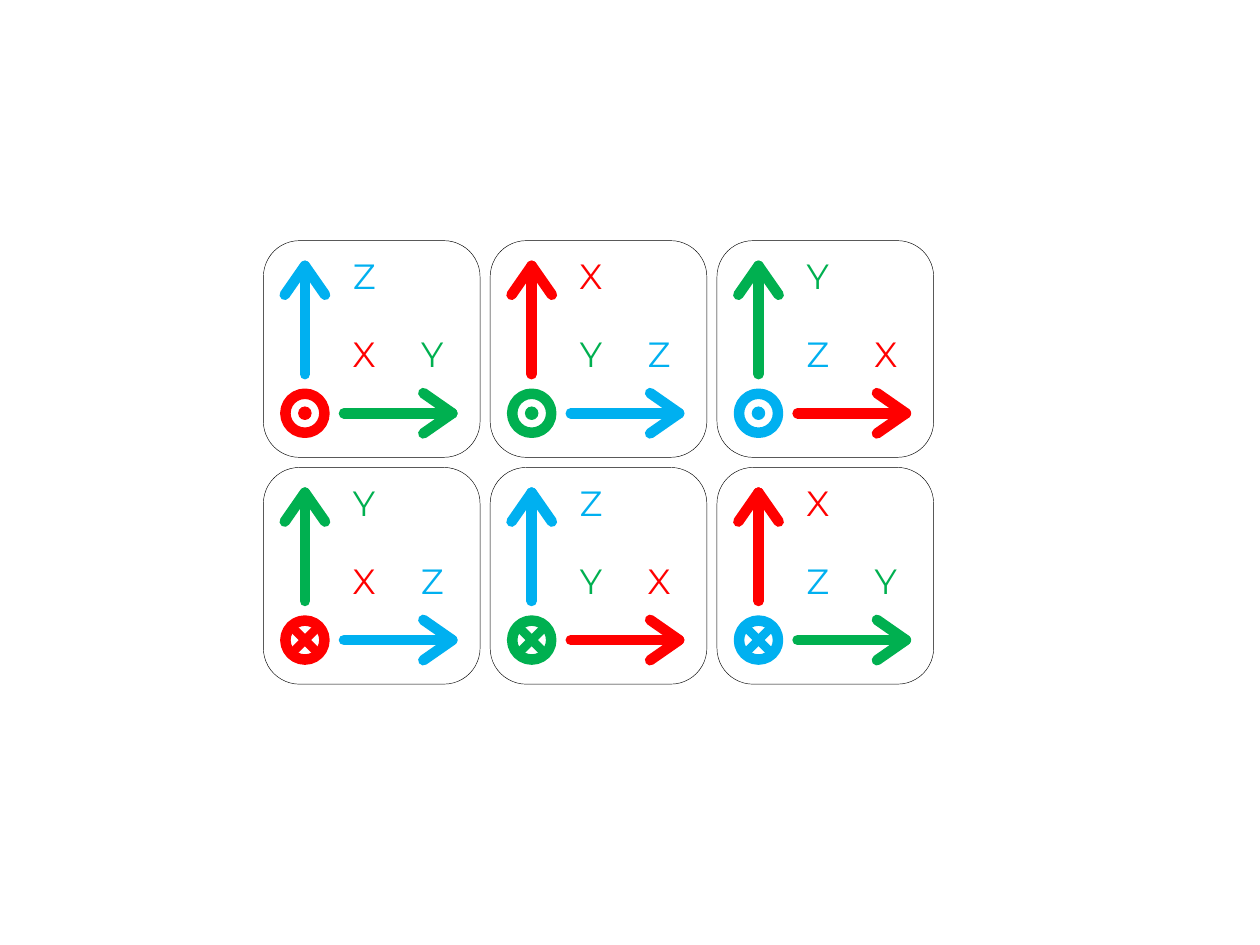
from lxml import etree
from pptx import Presentation
from pptx.dml.color import RGBColor
from pptx.enum.shapes import MSO_CONNECTOR, MSO_SHAPE
from pptx.enum.text import MSO_AUTO_SIZE, PP_ALIGN
from pptx.oxml.ns import qn
from pptx.util import Inches, Pt

STRAIGHT = MSO_CONNECTOR.STRAIGHT
OVAL = MSO_SHAPE.OVAL
ROUNDED = MSO_SHAPE.ROUNDED_RECTANGLE
FIT = MSO_AUTO_SIZE.SHAPE_TO_FIT_TEXT
CENTER = PP_ALIGN.CENTER

RED = RGBColor(0xFF, 0x00, 0x00)
GREEN = RGBColor(0x00, 0xB0, 0x50)
BLUE = RGBColor(0x00, 0xB0, 0xF0)
BLACK = RGBColor(0x00, 0x00, 0x00)
HUES = {"X": RED, "Y": GREEN, "Z": BLUE}
FONT = "Montserrat"

# Panel grid, in inches
LEFT, TOP, PITCH, SIDE = 2.09, 1.91, 1.8, 1.72
# Each panel: axis normal to the page, axis to the right, axis upward
OUTWARD = ["XYZ", "YZX", "ZXY"]
INWARD = ["XZY", "YXZ", "ZYX"]


def add_line(slide, start, end, color, width=6, cap="rnd"):
    line = slide.shapes.add_connector(
        STRAIGHT, *(Inches(n) for n in (*start, *end)))
    line.line.color.rgb = color
    line.line.width = Pt(width)
    line.line._get_or_add_ln().set("cap", cap)
    etree.SubElement(line._element.spPr, qn("a:effectLst"))


def add_arrow(slide, tip, tail, color):
    """Draw a shaft and two wings; the arrow is upright or level."""
    x, y = tip
    add_line(slide, tip, tail, color)
    for side in (0.16, -0.16):
        wing = (x + side, y + 0.23) if x == tail[0] else (x - 0.23, y + side)
        add_line(slide, tip, wing, color)


def add_shape(slide, kind, x, y, size, color, width, fill=None):
    shape = slide.shapes.add_shape(
        kind, Inches(x), Inches(y), Inches(size), Inches(size))
    shape.shadow.inherit = False
    shape.line.color.rgb = color
    shape.line.width = Pt(width)
    if fill is None:
        shape.fill.background()
    else:
        shape.fill.solid()
        shape.fill.fore_color.rgb = fill


def add_label(slide, name, x, y):
    box = slide.shapes.add_textbox(
        Inches(x), Inches(y), Inches(0.42), Inches(0.44))
    frame = box.text_frame
    frame.word_wrap = False
    frame.auto_size = FIT
    par = frame.paragraphs[0]
    par.alignment = CENTER
    run = par.add_run()
    run.text = name
    run.font.name = FONT
    run.font.size = Pt(20)
    run.font.color.rgb = HUES[name]


def add_disc(slide, x, y, color, inward):
    """Draw the axis normal to the page: a dot points out, a cross in."""
    add_shape(slide, OVAL, x - 0.155, y - 0.155, 0.31, color, 6)
    if inward:
        arm = 0.11
        for rise in (arm, -arm):
            add_line(slide, (x - arm, y - rise), (x + arm, y + rise),
                     color, 5, "flat")
    else:
        add_shape(slide, OVAL, x - 0.05, y - 0.05, 0.1, color, 0.5, color)


def add_panel(slide, x, y, axes, inward):
    normal, right, up = axes
    mid_x, mid_y = x + 0.33, y + 1.37
    # Arrows and disc
    add_arrow(slide, (mid_x, y + 0.2), (mid_x, y + 1.06), HUES[up])
    add_arrow(slide, (x + 1.5, mid_y), (x + 0.64, mid_y), HUES[right])
    add_disc(slide, mid_x, mid_y, HUES[normal], inward)
    # Axis names
    add_label(slide, up, x + 0.59, y + 0.06)
    add_label(slide, normal, x + 0.59, y + 0.68)
    add_label(slide, right, x + 1.13, y + 0.68)
    # Frame
    add_shape(slide, ROUNDED, x, y, SIDE, BLACK, 0.25)


def main():
    deck = Presentation()
    deck.slide_width = Inches(10)
    deck.slide_height = Inches(7.5)
    slide = deck.slides.add_slide(deck.slide_layouts[6])
    for row, panels in enumerate((OUTWARD, INWARD)):
        for col, axes in enumerate(panels):
            add_panel(slide, LEFT + col * PITCH, TOP + row * PITCH,
                      axes, inward=row == 1)
    deck.save("out.pptx")


if __name__ == "__main__":
    main()
